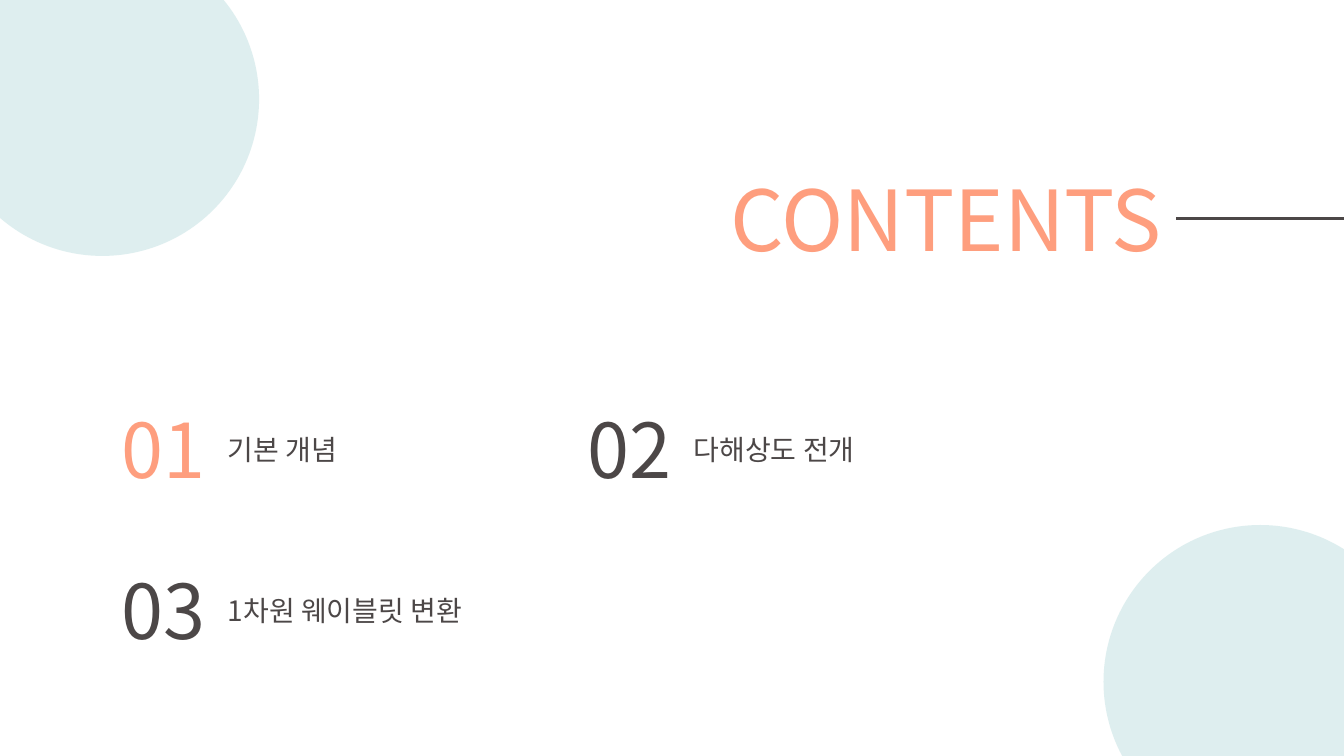
from lxml import etree
from pptx import Presentation
from pptx.dml.color import RGBColor
from pptx.enum.shapes import MSO_CONNECTOR, MSO_SHAPE
from pptx.enum.text import MSO_AUTO_SIZE
from pptx.oxml.ns import qn
from pptx.util import Cm, Pt

STRAIGHT = MSO_CONNECTOR.STRAIGHT
OVAL = MSO_SHAPE.OVAL
FIT_SHAPE = MSO_AUTO_SIZE.SHAPE_TO_FIT_TEXT

COLORS = {"accent": "FE9E7E", "ink": "4C4747", "mint": "C8E4E5"}
FONT = "Noto Sans CJK KR"
FRAME_FORMAT = {"word_wrap": False, "auto_size": FIT_SHAPE}
SLIDE_W, SLIDE_H = 33.87, 19.05
CIRCLE_SIZE = 7.9
CIRCLES = [(-1.37, -1.45), (27.81, 13.23)]
TITLE_RIGHT, RULE_Y = 29.64, 5.51
GRID_LEFT, GRID_TOP = 2.82, 10.03
COLUMN_PITCH, ROW_PITCH, COLUMNS = 11.74, 4.06, 2
NUMBER_W, NUMBER_H = 2.67, 2.57
LABEL_DROP, LABEL_H = 0.74, 1.12
CHAPTERS = [
    ("기본 개념", 3.61, "accent"),
    ("다해상도 전개", 5.03, "ink"),
    ("1차원 웨이블릿 변환", 7.11, "ink"),
]


def set_alpha(solid_fill, percent):
    """Set the opacity of a solid fill element."""
    etree.SubElement(solid_fill[0], qn("a:alpha"), val=str(percent * 1000))


def outline_text(run_properties, color):
    """Give a run a thin, mostly transparent outline."""
    outline = etree.Element(qn("a:ln"), w=str(Pt(0.75)))
    fill = etree.SubElement(outline, qn("a:solidFill"))
    etree.SubElement(fill, qn("a:srgbClr"), val=COLORS[color])
    set_alpha(fill, 20)
    run_properties.insert(0, outline)


def add_text(slide, text, left, top, width, height, size, color):
    """Add one line of outlined text."""
    box = slide.shapes.add_textbox(Cm(left), Cm(top), Cm(width), Cm(height))
    for name, value in FRAME_FORMAT.items():
        setattr(box.text_frame, name, value)
    run = box.text_frame.paragraphs[0].add_run()
    run.text = text
    for name, value in {"size": Pt(size), "name": FONT}.items():
        setattr(run.font, name, value)
    run.font.color.rgb = RGBColor.from_string(COLORS[color])
    run_properties = run.font._element if hasattr(run.font, "_element") else run._r.get_or_add_rPr()
    etree.SubElement(run_properties, qn("a:ea"), typeface=FONT)
    outline_text(run_properties, color)


def add_circle(slide, left, top):
    """Add a translucent corner circle."""
    circle = slide.shapes.add_shape(
        OVAL, Cm(left), Cm(top), Cm(CIRCLE_SIZE), Cm(CIRCLE_SIZE))
    circle.shadow.inherit = False
    circle.fill.solid()
    circle.fill.fore_color.rgb = RGBColor.from_string(COLORS["mint"])
    set_alpha(circle._element.spPr.find(qn("a:solidFill")), 60)
    circle.line.fill.background()


def add_rule(slide):
    """Add the line from the title to the slide edge."""
    rule = slide.shapes.add_connector(
        STRAIGHT, Cm(TITLE_RIGHT), Cm(RULE_Y), Cm(SLIDE_W), Cm(RULE_Y))
    rule.line.width = Pt(2.25)
    rule.line.color.rgb = RGBColor.from_string(COLORS["ink"])
    etree.SubElement(rule._element.spPr, qn("a:effectLst"))


def add_chapter(slide, index, label, label_width, number_color):
    """Add a chapter number and its label in the grid."""
    row, column = divmod(index, COLUMNS)
    left = GRID_LEFT + column * COLUMN_PITCH
    top = GRID_TOP + row * ROW_PITCH
    add_text(slide, f"{index + 1:02d}", left, top, NUMBER_W, NUMBER_H, 54, number_color)
    add_text(slide, label, left + NUMBER_W, top + LABEL_DROP,
             label_width, LABEL_H, 20, "ink")


def main():
    """Build the contents slide."""
    deck = Presentation()
    deck.slide_width, deck.slide_height = Cm(SLIDE_W), Cm(SLIDE_H)
    slide = deck.slides.add_slide(deck.slide_layouts[6])
    add_text(slide, "CONTENTS", 18.16, 4.09, 11.48, 2.82, 60, "accent")
    add_rule(slide)
    for left, top in CIRCLES:
        add_circle(slide, left, top)
    for index, (label, label_width, number_color) in enumerate(CHAPTERS):
        add_chapter(slide, index, label, label_width, number_color)
    deck.save("out.pptx")


if __name__ == "__main__":
    main()
